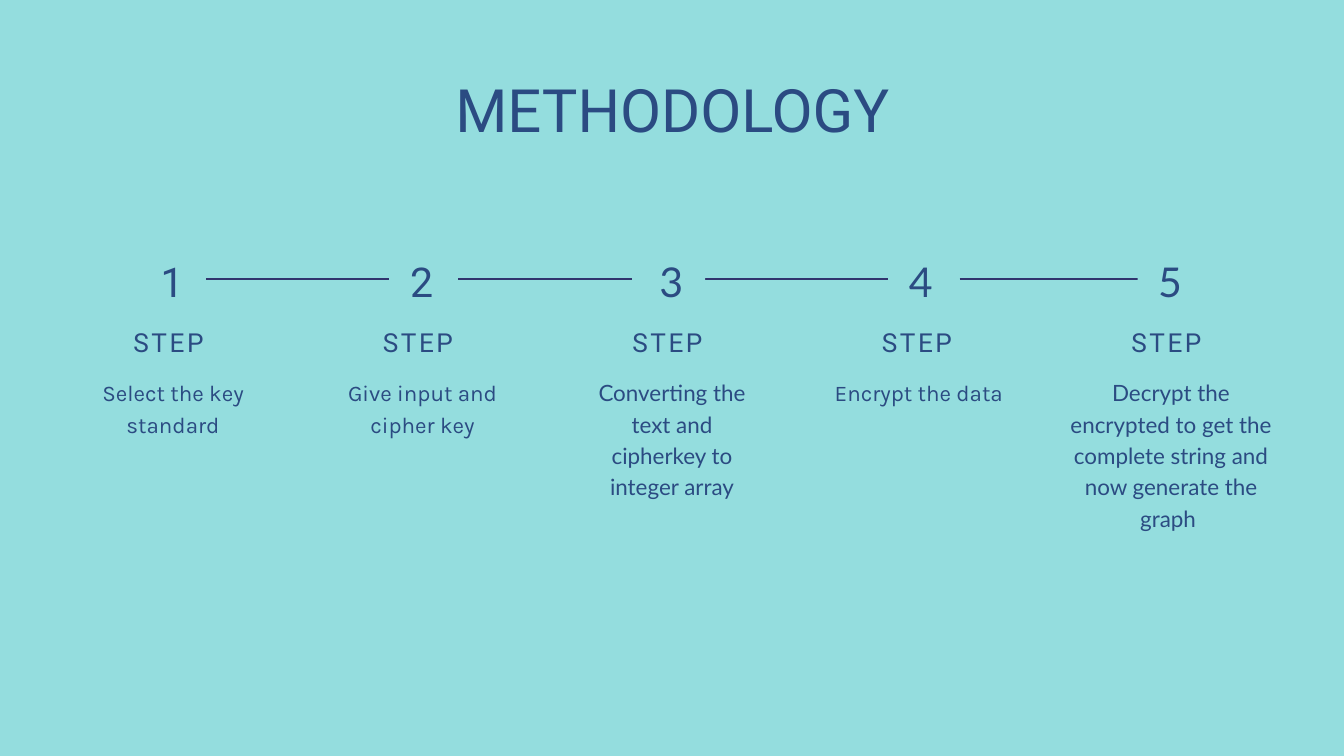
from pptx import Presentation
from pptx.dml.color import RGBColor
from pptx.enum.shapes import MSO_CONNECTOR, MSO_SHAPE
from pptx.enum.text import MSO_ANCHOR, MSO_AUTO_SIZE, PP_ALIGN
from pptx.oxml.ns import qn
from pptx.util import Cm, Pt
from lxml import etree

AQUA = RGBColor(0x94, 0xDD, 0xDE)
NAVY = RGBColor(0x2B, 0x4B, 0x82)
INDIGO = RGBColor(0x31, 0x35, 0x6E)
STRAIGHT = MSO_CONNECTOR.STRAIGHT
RECT = MSO_SHAPE.RECTANGLE
CENTER = PP_ALIGN.CENTER
TOP, MIDDLE = MSO_ANCHOR.TOP, MSO_ANCHOR.MIDDLE
GROW, FIXED = MSO_AUTO_SIZE.SHAPE_TO_FIT_TEXT, MSO_AUTO_SIZE.NONE

FIRST, PITCH = 6.54, 9.43
LINKS = [(7.8, 14.81), (17.32, 23.88), (26.39, 33.76), (36.27, 43)]
STEPS = [
    ("Select the key standard", 6.83, 2, "Roboto", "Karla"),
    ("Give input and cipher key", 6.68, 2, "Roboto", "Karla"),
    ("Converting the text and cipherkey to integer array", 6.83, 4, "Lato", "Lato"),
    ("Encrypt the data ", 7.44, 1, "Lato", "Karla"),
    ("Decrypt the encrypted to get the complete string and now generate the graph ",
     7.85, 5, "Lato", "Lato"),
]


def add_text(slide, text, box, font, size, lead, track=0, anchor=TOP, fit=GROW):
    """Add a centred text box with fixed line pitch and letter spacing."""
    frame = slide.shapes.add_textbox(*map(Cm, box)).text_frame
    frame.margin_left = frame.margin_right = 0
    frame.margin_top = frame.margin_bottom = 0
    frame.word_wrap = True
    frame.auto_size = fit
    frame.vertical_anchor = anchor
    frame.text = text
    line = frame.paragraphs[0]
    line.alignment = CENTER
    line.line_spacing = Pt(lead)
    run = line.runs[0]
    run.font.name = font
    run.font.size = Pt(size)
    run.font.color.rgb = NAVY
    if track:
        run.font._element.set("spc", str(round(track * 100)))


def add_link(slide, start, end):
    """Add the line between two step numbers."""
    link = slide.shapes.add_connector(STRAIGHT, Cm(start), Cm(10.54), Cm(end), Cm(10.54))
    link.line.color.rgb = INDIGO
    link.line.width = Pt(2.25)
    etree.SubElement(link._element.spPr, qn("a:effectLst"))


def add_patch(slide, left):
    """Add the plain square behind a step number."""
    patch = slide.shapes.add_shape(RECT, Cm(left), Cm(9.37), Cm(2.51), Cm(2.45))
    patch.shadow.inherit = False
    patch.fill.solid()
    patch.fill.fore_color.rgb = AQUA
    patch.line.fill.background()


def add_step(slide, index, text, width, rows, digit, body):
    """Add one column with its number, label and description."""
    mid = FIRST + index * PITCH
    left = mid - width / 2
    if index:
        add_patch(slide, mid - 1.26)
    add_text(slide, str(index + 1), (mid - 1.26, 9.14, 2.46, 2.69), digit, 44, 61.6,
             7.5, MIDDLE, FIXED)
    add_text(slide, "STEP ", (left, 12.14, width, 1.3), "Roboto", 28, 39.2, 2.8)
    add_text(slide, text, (left, 14.18, width, 1.16 * rows), body, 24, 33.6)


def main():
    """Build the methodology slide."""
    deck = Presentation()
    deck.slide_width, deck.slide_height = Cm(50.8), Cm(28.58)
    slide = deck.slides.add_slide(deck.slide_layouts[6])
    slide.background.fill.solid()
    slide.background.fill.fore_color.rgb = AQUA
    for start, end in LINKS:
        add_link(slide, start, end)
    add_text(slide, "METHODOLOGY", (3, 3.1, 44.83, 2.46), "Roboto", 64, 67.2)
    for index, step in enumerate(STEPS):
        add_step(slide, index, *step)
    deck.save("out.pptx")


if __name__ == "__main__":
    main()
